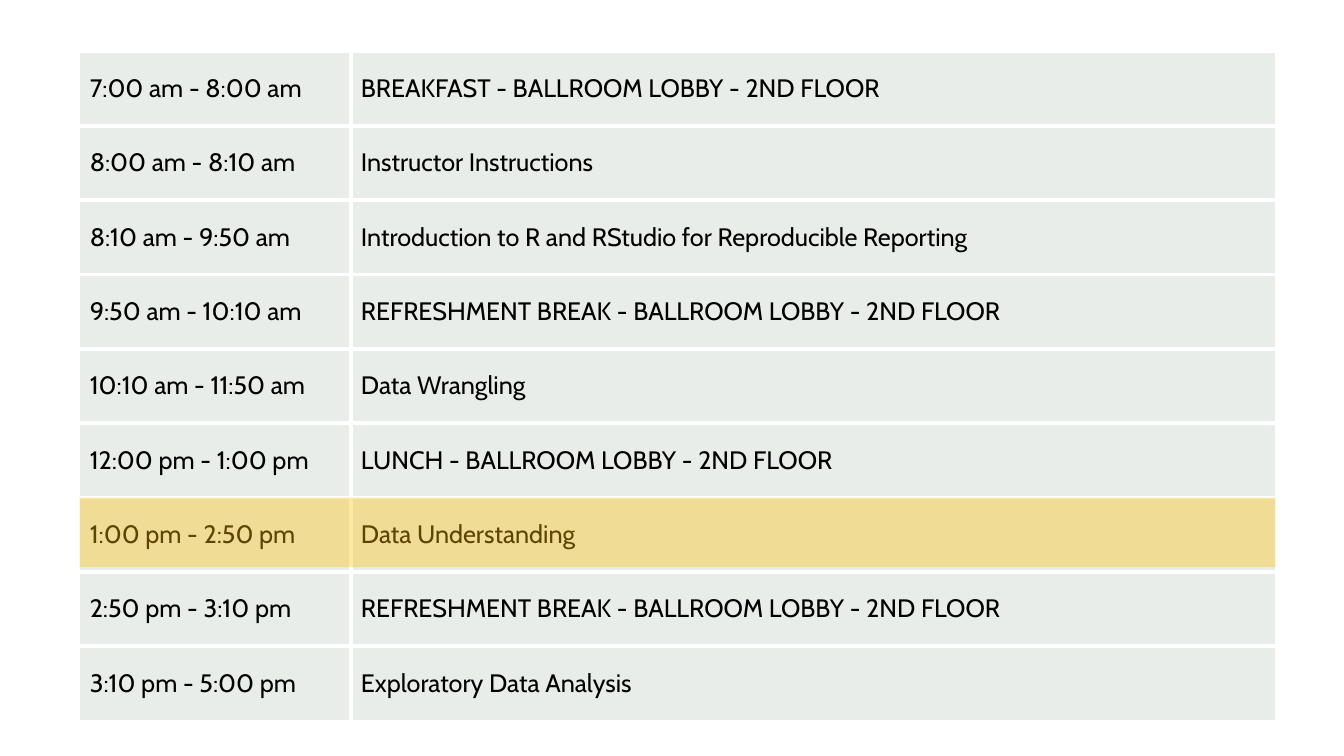
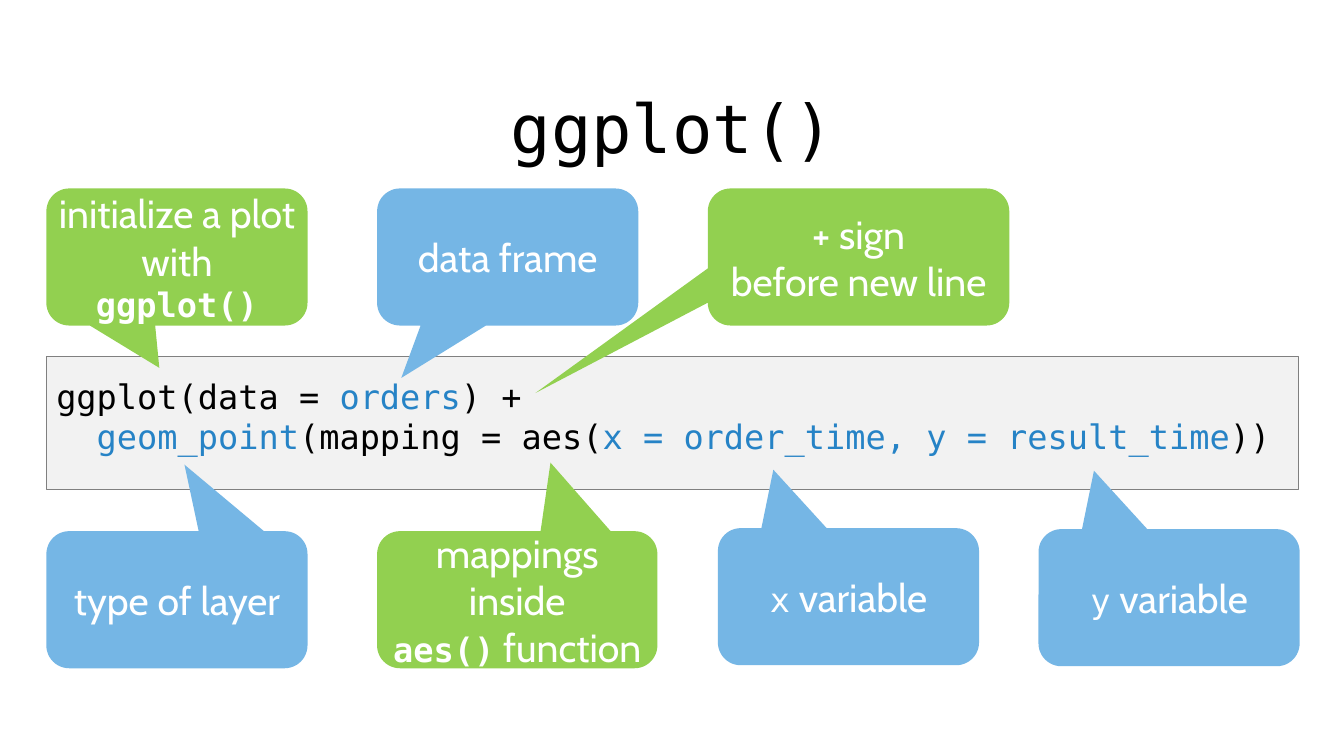
import dataclasses

import lxml.etree
import pptx
import pptx.dml.color
import pptx.enum.shapes
import pptx.enum.text
import pptx.oxml
import pptx.oxml.ns
import pptx.util

PX = 9144  # 100 px to the inch


@dataclasses.dataclass(frozen=True)
class Theme:
    ink: str = "000000"
    white: str = "FFFFFF"
    cell: str = "E8EDE9"
    highlight: str = "FFC000"
    code_fill: str = "F2F2F2"
    code_line: str = "808080"
    code_blue: str = "2683C6"
    blue: str = "75B6E5"
    green: str = "92D050"
    sans: str = "Cabin"
    mono: str = "DejaVu Sans Mono"
    title_size: int = 48
    label_size: int = 28
    code_size: int = 24
    table_size: int = 18
    table_border: int = 3


THEME = Theme()


def text_format(name, size, bold=False):
    return {"name": name, "size": pptx.util.Pt(size), "bold": bold}


TITLE = text_format(THEME.mono, THEME.title_size)
LABEL = text_format(THEME.sans, THEME.label_size)
CODE = text_format(THEME.mono, THEME.code_size)
CODE_BOLD = text_format(THEME.mono, THEME.code_size, bold=True)
TABLE = text_format(THEME.sans, THEME.table_size)

# Content
SCHEDULE = [
    ("7:00 am - 8:00 am", "BREAKFAST - BALLROOM LOBBY - 2ND FLOOR"),
    ("8:00 am - 8:10 am", "Instructor Instructions"),
    ("8:10 am - 9:50 am", "Introduction to R and RStudio for Reproducible Reporting"),
    ("9:50 am - 10:10 am", "REFRESHMENT BREAK - BALLROOM LOBBY - 2ND FLOOR"),
    ("10:10 am - 11:50 am", "Data Wrangling"),
    ("12:00 pm - 1:00 pm", "LUNCH - BALLROOM LOBBY - 2ND FLOOR"),
    ("1:00 pm - 2:50 pm", "Data Understanding"),
    ("2:50 pm - 3:10 pm", "REFRESHMENT BREAK - BALLROOM LOBBY - 2ND FLOOR"),
    ("3:10 pm - 5:00 pm", "Exploratory Data Analysis"),
]
CURRENT_SESSION = 6

CODE_LINES = [
    [("ggplot(data = ", CODE, THEME.ink), ("orders", CODE, THEME.code_blue),
     (") +", CODE, THEME.ink)],
    [("  geom_point", CODE, THEME.code_blue), ("(mapping = aes(", CODE, THEME.ink),
     ("x = order_time, y = result_time", CODE, THEME.code_blue),
     ("))", CODE, THEME.ink)],
]

# Callouts: box, tip of the pointer, fill, lines of (text, format) runs
CALLOUTS = [
    ((374, 187, 259, 136), (398, 375), THEME.blue, [[("data frame", LABEL)]]),
    ((702, 187, 299, 136), (531, 390), THEME.green,
     [[("+ sign", LABEL)], [("before new line", LABEL)]]),
    ((46, 527, 259, 136), (183, 461), THEME.blue, [[("type of layer", LABEL)]]),
    ((374, 527, 278, 136), (546, 459), THEME.green,
     [[("mappings inside", LABEL)], [("aes()", CODE_BOLD), (" function", LABEL)]]),
    ((712, 524, 259, 136), (767, 466), THEME.blue,
     [[("x", CODE), (" variable", LABEL)]]),
    ((46, 187, 259, 136), (158, 365), THEME.green,
     [[("initialize a plot", LABEL)], [("with", LABEL)], [("ggplot()", CODE_BOLD)]]),
    ((1030, 525, 259, 136), (1085, 467), THEME.blue,
     [[("y", CODE), (" variable", LABEL)]]),
]


# Helpers
def px(*lengths):
    return [pptx.util.Emu(length * PX) for length in lengths]


def rgb(colour):
    return pptx.dml.color.RGBColor.from_string(colour)


def set_all(target, values):
    for name, value in values.items():
        setattr(target, name, value)


def write_lines(frame, lines, align, anchor, insets):
    """Fill a text frame; each line is a list of (text, format, colour)."""
    left, top, right, bottom = px(*insets)
    set_all(frame, {
        "word_wrap": True, "auto_size": pptx.enum.text.MSO_AUTO_SIZE.NONE,
        "vertical_anchor": anchor, "margin_left": left, "margin_top": top,
        "margin_right": right, "margin_bottom": bottom,
    })
    for index, line in enumerate(lines):
        paragraph = frame.add_paragraph() if index else frame.paragraphs[0]
        paragraph.alignment = align
        for text, style, colour in line:
            run = paragraph.add_run()
            run.text = text
            set_all(run.font, style)
            run.font.color.rgb = rgb(colour)


def add_block(slide, kind, box, fill, line=None):
    block = slide.shapes.add_shape(kind, *box)
    block.shadow.inherit = False
    block.fill.solid()
    block.fill.fore_color.rgb = rgb(fill)
    if line:
        block.line.color.rgb = rgb(line)
        block.line.width = pptx.util.Pt(0.75)
    else:
        block.line.fill.background()
    return block


def add_callout(slide, box, tip, fill, lines):
    left, top, width, height = box
    callout = add_block(
        slide, pptx.enum.shapes.MSO_SHAPE.ROUNDED_RECTANGULAR_CALLOUT, px(*box), fill)
    callout.adjustments[0] = (tip[0] - left) / width - 0.5
    callout.adjustments[1] = (tip[1] - top) / height - 0.5
    white_lines = [[(*run, THEME.white) for run in line] for line in lines]
    write_lines(callout.text_frame, white_lines, pptx.enum.text.PP_ALIGN.CENTER,
                pptx.enum.text.MSO_ANCHOR.MIDDLE, (3, 0, 3, 0))


def set_borders(cell, sides):
    """Draw white borders; sides come in the order L, R, T, B."""
    properties = cell._tc.get_or_add_tcPr()
    for index, side in enumerate(sides):
        border = pptx.oxml.parse_xml(
            f'<a:ln{side} {pptx.oxml.ns.nsdecls("a")} '
            f'w="{pptx.util.Pt(THEME.table_border)}"><a:solidFill>'
            f'<a:srgbClr val="{THEME.white}"/></a:solidFill></a:ln{side}>')
        properties.insert(index, border)


def set_opacity(shape, percent):
    colour = shape.fill._xPr.find(".//" + pptx.oxml.ns.qn("a:srgbClr"))
    alpha = lxml.etree.SubElement(colour, pptx.oxml.ns.qn("a:alpha"))
    alpha.set("val", str(percent * 1000))


# Slides
def add_schedule(deck):
    slide = deck.slides.add_slide(deck.slide_layouts[6])
    left, top, width, height, band_height = px(79, 51, 1186, 664, 69)
    schedule = slide.shapes.add_table(
        len(SCHEDULE), 2, left, top, width, height).table
    set_all(schedule, {"first_row": False, "horz_banding": False})
    for column, column_width in zip(schedule.columns, px(269, 917)):
        column.width = column_width
    row_height = height // len(SCHEDULE)
    for row, entry in enumerate(SCHEDULE):
        schedule.rows[row].height = row_height
        for column, text in enumerate(entry):
            cell = schedule.cell(row, column)
            cell.fill.solid()
            cell.fill.fore_color.rgb = rgb(THEME.cell)
            cell.vertical_anchor = pptx.enum.text.MSO_ANCHOR.MIDDLE
            run = cell.text_frame.paragraphs[0].add_run()
            run.text = text
            set_all(run.font, TABLE)
            run.font.color.rgb = rgb(THEME.ink)
            is_last = row == len(SCHEDULE) - 1
            set_borders(cell, ("L" if column else "R") + ("T" if is_last else "TB"))

    # Band over the current session
    band = add_block(slide, pptx.enum.shapes.MSO_SHAPE.RECTANGLE,
                     (left, top + CURRENT_SESSION * row_height, width, band_height),
                     THEME.highlight)
    set_opacity(band, 36)


def add_ggplot(deck):
    slide = deck.slides.add_slide(deck.slide_layouts[5])
    title = slide.shapes.title
    title_box = px(46, 81, 1242, 91)
    set_all(title, dict(zip(("left", "top", "width", "height"), title_box)))
    write_lines(title.text_frame, [[("ggplot()", TITLE, THEME.ink)]],
                pptx.enum.text.PP_ALIGN.CENTER, pptx.enum.text.MSO_ANCHOR.TOP,
                (10, 5, 10, 5))

    # Code with its explanations
    code = add_block(slide, pptx.enum.shapes.MSO_SHAPE.RECTANGLE,
                     px(46, 354, 1242, 132), THEME.code_fill, THEME.code_line)
    write_lines(code.text_frame, CODE_LINES, pptx.enum.text.PP_ALIGN.LEFT,
                pptx.enum.text.MSO_ANCHOR.TOP, (10, 19, 10, 5))
    for callout in CALLOUTS:
        add_callout(slide, *callout)


def main():
    deck = pptx.Presentation()
    deck.slide_width, deck.slide_height = px(1333, 750)
    add_schedule(deck)
    add_ggplot(deck)
    deck.save("out.pptx")


if __name__ == "__main__":
    main()
